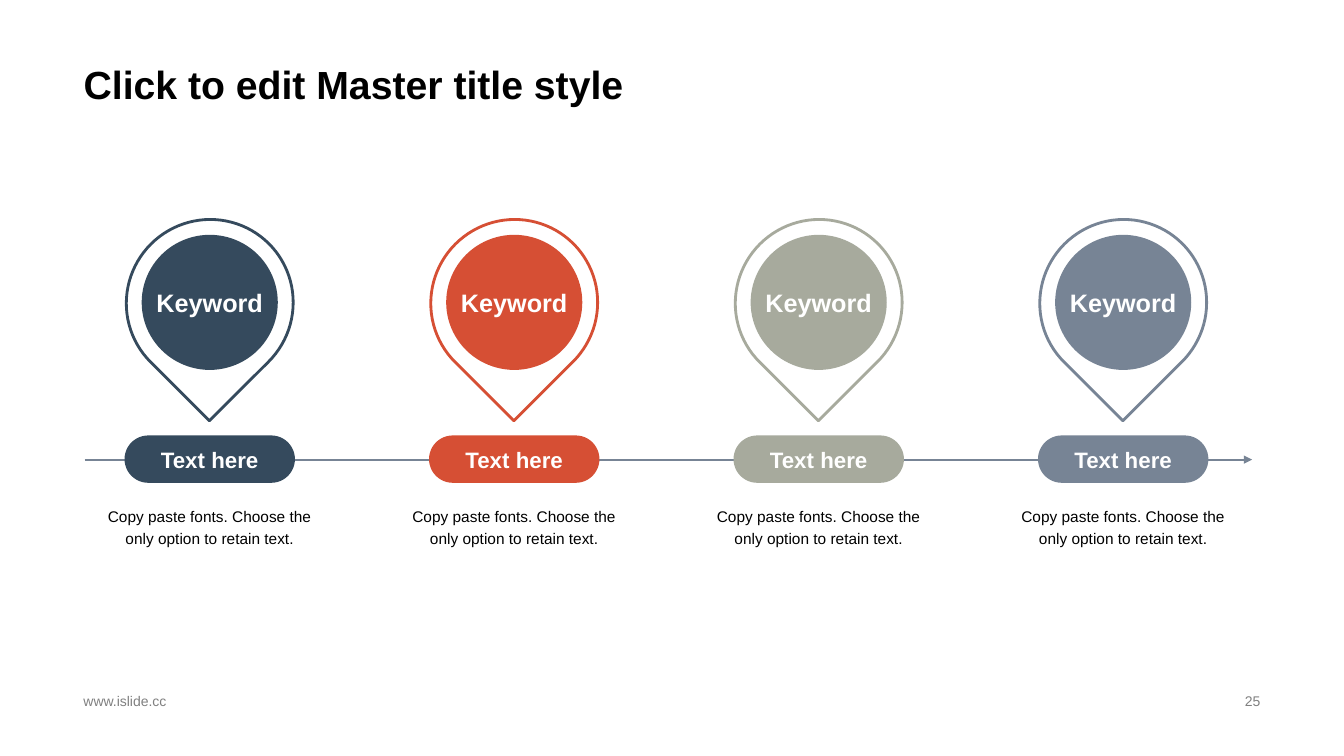
import pptx
import pptx.util
import pptx.dml.color
import pptx.enum.shapes
import pptx.enum.text
import pptx.oxml
import pptx.oxml.ns

TITLE = "Click to edit Master title style"
SITE = "www.islide.cc"
PAGE = "25"
NOTE = "Copy paste fonts. Choose the only option to retain text."
STEPS = [
    ("Keyword", "Text here", NOTE, "354A5D"),
    ("Keyword", "Text here", NOTE, "D64F34"),
    ("Keyword", "Text here", NOTE, "A7AA9D"),
    ("Keyword", "Text here", NOTE, "778495"),
]
AXIS = "778495"
WHITE, BLACK, GREY = "FFFFFF", "000000", "808080"
FIRST, PITCH = 2.08, 3.02

Inches = pptx.util.Inches
Pt = pptx.util.Pt
KIND = pptx.enum.shapes.MSO_SHAPE
ALIGN = pptx.enum.text.PP_ALIGN
ANCHOR = pptx.enum.text.MSO_ANCHOR


def color(code):
    return pptx.dml.color.RGBColor.from_string(code)


def write(shape, text, size, code, bold=False, align=ALIGN.CENTER,
          anchor=ANCHOR.MIDDLE, wrap=True, space=1.0):
    frame = shape.text_frame
    frame.text = text
    frame.word_wrap = wrap
    frame.auto_size = pptx.enum.text.MSO_AUTO_SIZE.NONE
    frame.vertical_anchor = anchor
    frame.margin_left = frame.margin_right = Inches(0.1)
    frame.margin_top = frame.margin_bottom = Inches(0.05)
    para = frame.paragraphs[0]
    para.alignment = align
    para.line_spacing = space
    font = para.runs[0].font
    font.name = "Arial"
    font.size = Pt(size)
    font.bold = bold
    font.color.rgb = color(code)


def add_box(slide, left, top, width, height):
    return slide.shapes.add_textbox(
        Inches(left), Inches(top), Inches(width), Inches(height))


def add_form(slide, kind, mid, top, width, height, fill, line=None):
    form = slide.shapes.add_shape(
        kind, Inches(mid - width / 2), Inches(top), Inches(width), Inches(height))
    form.shadow.inherit = False
    form.fill.solid()
    form.fill.fore_color.rgb = color(fill)
    if line:
        form.line.color.rgb = color(line)
        form.line.width = Pt(2)
    else:
        form.line.fill.background()
    return form


def add_axis(slide):
    axis = slide.shapes.add_connector(
        pptx.enum.shapes.MSO_CONNECTOR.STRAIGHT,
        Inches(0.84), Inches(4.56), Inches(12.42), Inches(4.56))
    axis.line.color.rgb = color(AXIS)
    axis.line.width = Pt(1.5)
    head = pptx.oxml.parse_xml(
        f'<a:tailEnd {pptx.oxml.ns.nsdecls("a")} type="triangle"/>')
    axis.line._get_or_add_ln().append(head)
    flat = pptx.oxml.parse_xml(f'<a:effectLst {pptx.oxml.ns.nsdecls("a")}/>')
    axis._element.spPr.append(flat)


def add_step(slide, mid, key, label, note, tone):
    pin = add_form(slide, KIND.TEAR, mid, 2.18, 1.66, 1.65, WHITE, tone)
    pin.rotation = 135
    disc = add_form(slide, KIND.OVAL, mid, 2.33, 1.35, 1.34, tone)
    write(disc, key, 18, WHITE, bold=True, wrap=False)
    pill = add_form(slide, KIND.ROUNDED_RECTANGLE, mid, 4.32, 1.69, 0.47, tone)
    pill.adjustments[0] = 0.5
    write(pill, label, 15.9, WHITE, bold=True, wrap=False)
    box = add_box(slide, mid - 1.2, 4.94, 2.4, 0.61)
    write(box, note, 11, BLACK, anchor=ANCHOR.TOP, space=1.2)


def main():
    deck = pptx.Presentation()
    deck.slide_width = Inches(13.33)
    deck.slide_height = Inches(7.5)
    slide = deck.slides.add_slide(deck.slide_layouts[5])

    title = slide.shapes.title
    title.left, title.top = Inches(0.73), Inches(0)
    title.width, title.height = Inches(11.87), Inches(1.12)
    write(title, TITLE, 28, BLACK, bold=True, align=ALIGN.LEFT,
          anchor=ANCHOR.BOTTOM, space=0.9)

    site = add_box(slide, 0.73, 6.84, 4.53, 0.23)
    write(site, SITE, 10, GREY, align=ALIGN.LEFT)
    page = add_box(slide, 9.42, 6.84, 3.18, 0.23)
    write(page, PAGE, 10, GREY, align=ALIGN.RIGHT)

    add_axis(slide)
    for i, step in enumerate(STEPS):
        add_step(slide, FIRST + i * PITCH, *step)

    deck.save("out.pptx")


if __name__ == "__main__":
    main()
